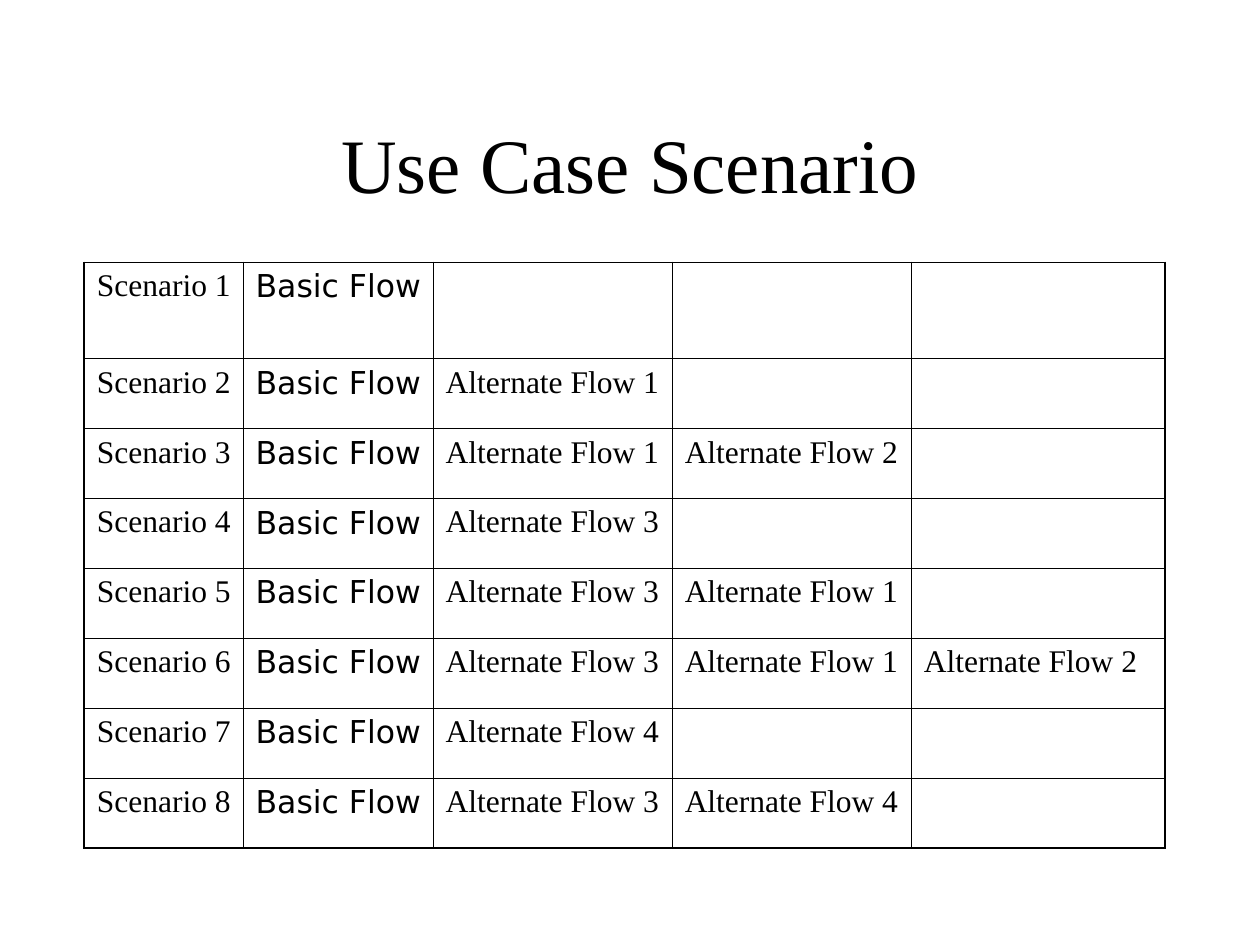
from lxml.etree import SubElement
from pptx import Presentation
from pptx.dml.color import RGBColor
from pptx.enum.text import MSO_ANCHOR as ANCHOR, PP_ALIGN as ALIGN
from pptx.oxml.ns import qn
from pptx.util import Cm, Pt

SERIF, SANS = "Times New Roman", "DejaVu Sans"
BLACK = "000000"
INNER, OUTER = 0.45, 1.08

COL_WIDTHS = [3.2, 3.83, 4.82, 4.82, 5.12]
FIRST_ROW_HEIGHT, ROW_HEIGHT = 1.94, 1.41

# Alternate flows taken after the basic flow, one entry per scenario
ALTERNATE_FLOWS = [[], [1], [1, 2], [3], [3, 1], [3, 1, 2], [4], [3, 4]]


def rgb(color):
    return RGBColor.from_string(color)


def write(tf, text, size=18, font=SERIF, color=BLACK, align=ALIGN.LEFT):
    p = tf.paragraphs[0]
    p.alignment = align
    r = p.add_run()
    r.text = text
    r.font.size = Pt(size)
    r.font.name = font
    r.font.color.rgb = rgb(color)


def add_title(s, text):
    sp = s.shapes.title
    sp.left, sp.top, sp.width, sp.height = Cm(1.91), Cm(1.69), Cm(21.59), Cm(3.18)
    sp.text_frame.vertical_anchor = ANCHOR.MIDDLE
    write(sp.text_frame, text, size=44, align=ALIGN.CENTER)


def set_borders(cell, widths, color=BLACK):
    """Draw the cell's edges; widths are in points for left, right, top, bottom."""
    tc_pr = cell._tc.get_or_add_tcPr()
    for tag, width in zip(("a:lnL", "a:lnR", "a:lnT", "a:lnB"), widths):
        ln = SubElement(tc_pr, qn(tag), w=str(Pt(width)))
        fill = SubElement(ln, qn("a:solidFill"))
        SubElement(fill, qn("a:srgbClr"), val=color)


def add_grid(s, rows, left, top):
    heights = [FIRST_ROW_HEIGHT] + [ROW_HEIGHT] * (len(rows) - 1)
    last_row, last_col = len(rows) - 1, len(COL_WIDTHS) - 1
    table = s.shapes.add_table(len(rows), len(COL_WIDTHS), Cm(left), Cm(top),
                               Cm(sum(COL_WIDTHS)), Cm(sum(heights))).table
    table.first_row = table.horz_banding = False
    for col, width in zip(table.columns, COL_WIDTHS):
        col.width = Cm(width)
    for i, (texts, height) in enumerate(zip(rows, heights)):
        table.rows[i].height = Cm(height)
        for j in range(len(COL_WIDTHS)):
            cell = table.cell(i, j)
            on_edge = (j == 0, j == last_col, i == 0, i == last_row)
            set_borders(cell, [OUTER if edge else INNER for edge in on_edge])
            cell.fill.background()
            cell.margin_right = Cm(0.2)
            if j < len(texts):
                write(cell.text_frame, texts[j], font=SANS if j == 1 else SERIF)


def main():
    prs = Presentation()
    prs.slide_width, prs.slide_height = Cm(25.4), Cm(19.05)
    s = prs.slides.add_slide(prs.slide_layouts[5])
    add_title(s, "Use Case Scenario")
    rows = [[f"Scenario {n}", "Basic Flow"] + [f"Alternate Flow {f}" for f in flows]
            for n, flows in enumerate(ALTERNATE_FLOWS, 1)]
    add_grid(s, rows, left=1.7, top=5.29)
    prs.save("out.pptx")


if __name__ == "__main__":
    main()
